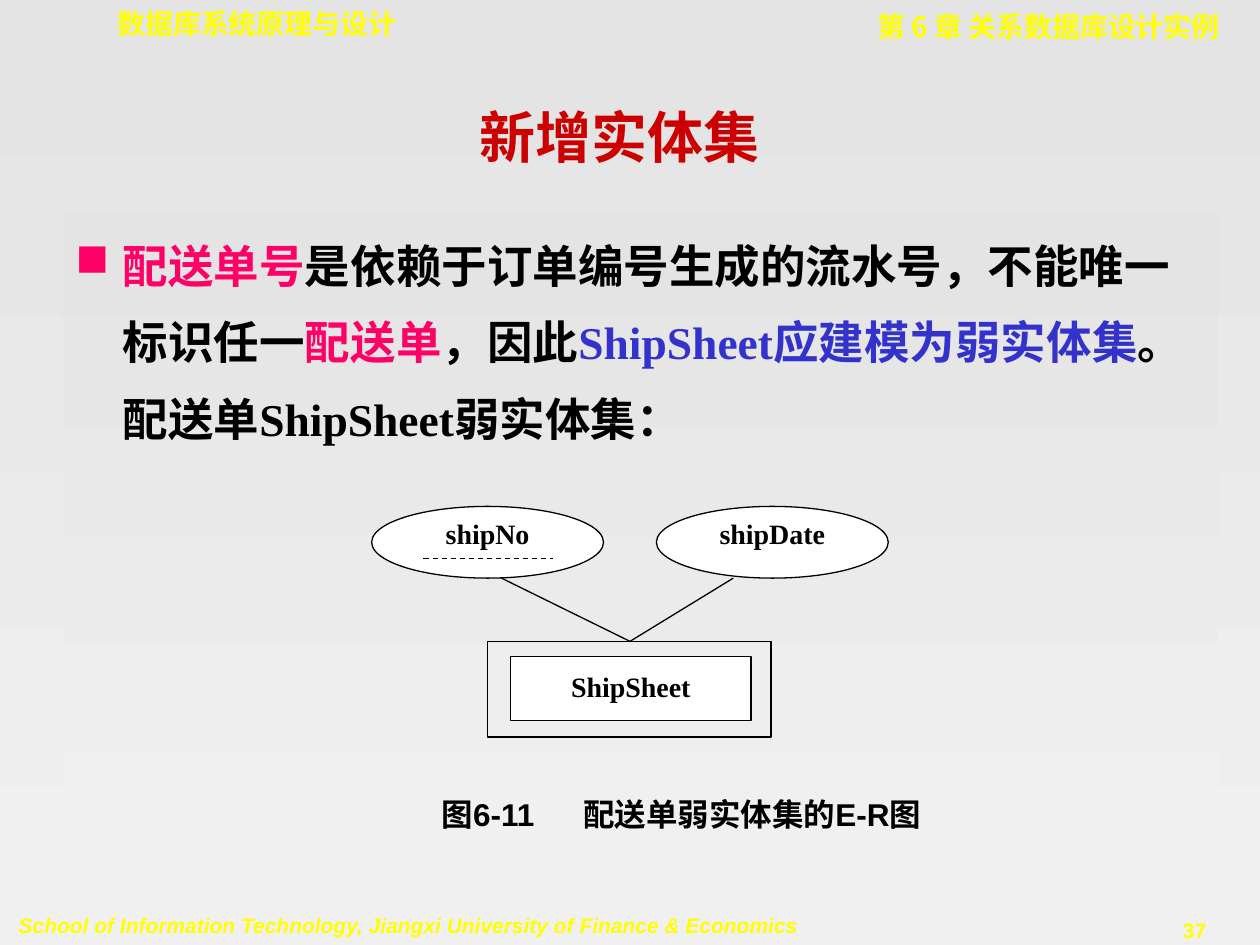
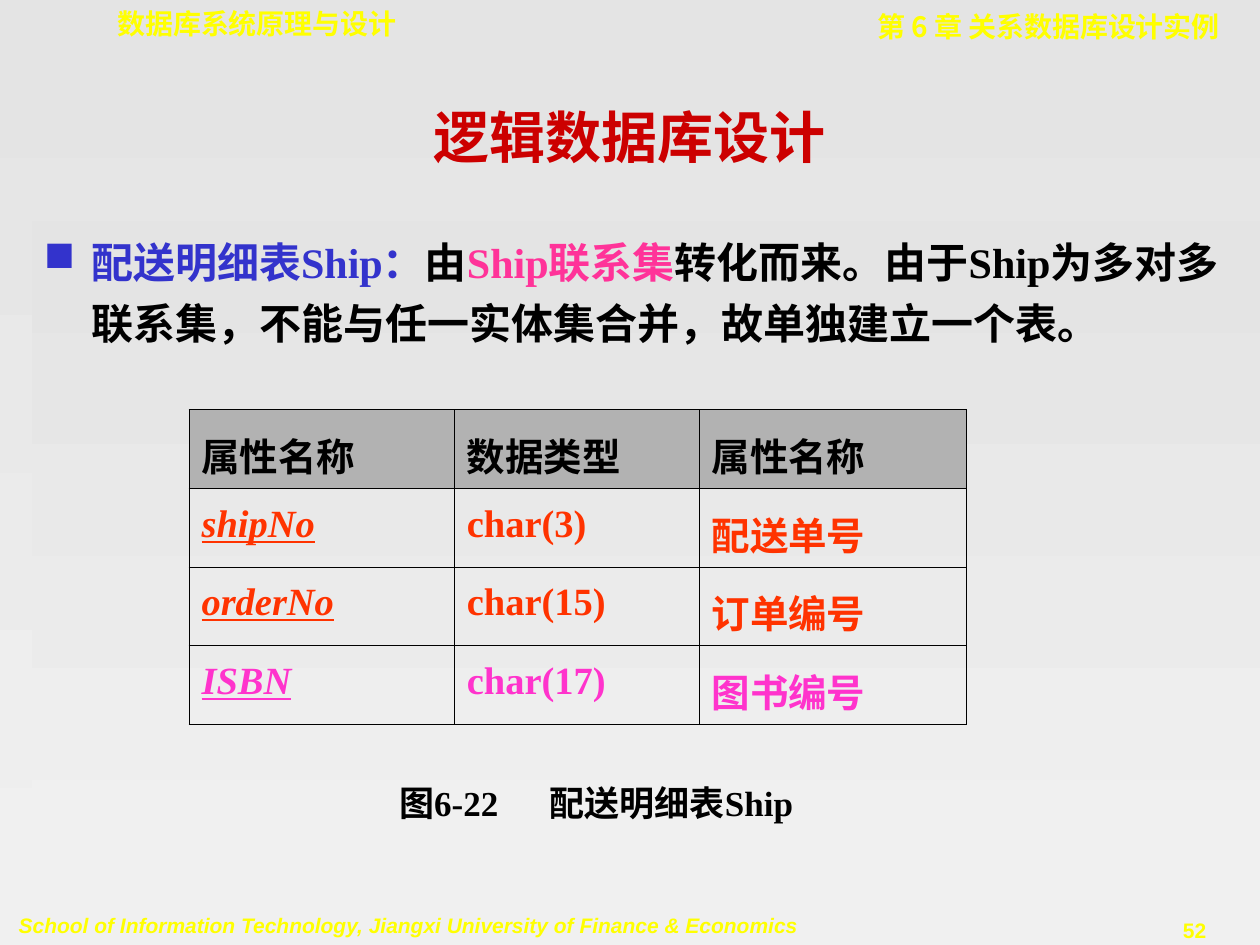
from lxml.etree import SubElement
from pptx import Presentation
from pptx.dml.color import RGBColor
from pptx.enum.dml import MSO_LINE
from pptx.enum.shapes import MSO_CONNECTOR, MSO_SHAPE
from pptx.enum.text import MSO_ANCHOR, PP_ALIGN
from pptx.oxml.ns import qn
from pptx.util import Pt

BLACK = RGBColor(0x00, 0x00, 0x00)
WHITE = RGBColor(0xFF, 0xFF, 0xFF)
YELLOW = RGBColor(0xFF, 0xFF, 0x00)
TITLE_RED = RGBColor(0xCC, 0x00, 0x00)
BLUE = RGBColor(0x33, 0x33, 0xCC)
ROSE = RGBColor(0xFF, 0x00, 0x66)
PINK = RGBColor(0xFF, 0x33, 0x99)
ORANGE = RGBColor(0xFF, 0x33, 0x00)
MAGENTA = RGBColor(0xFF, 0x33, 0xCC)
HEADER_GREY = RGBColor(0xB2, 0xB2, 0xB2)
GREY_TOP = RGBColor(0xE4, 0xE4, 0xE4)
GREY_BOTTOM = RGBColor(0xF0, 0xF0, 0xF0)

SERIF, SANS, MONO, CJK = "Times New Roman", "Arial", "DejaVu Sans Mono", "Noto Sans CJK SC"

# text, (left, top, width, height), size, font, italic, alignment
BANDS = [
    ("数据库系统原理与设计", (60, 0, 263.5, 26.6), 16, MONO, False, PP_ALIGN.LEFT),
    ("第 6 章 关系数据库设计实例", (391, 2, 313.2, 26.6), 16, CJK, False, PP_ALIGN.RIGHT),
    ("School of Information Technology, Jiangxi University of Finance & Economics",
     (3.6, 517.7, 461, 21.6), 12, SANS, True, PP_ALIGN.LEFT),
]
PAGE_NUMBER_AREA = (646.6, 520.5, 72, 21.6)

WEAK_ENTITY = {
    "number": "37", "title": "新增实体集", "title_left": 48,
    "area": (36, 120, 660, 372), "size": 26, "spacing": 1.4,
    "body": [("配送单号", ROSE), ("是依赖于订单编号生成的流水号，不能唯一标识任一", BLACK),
             ("配送单", ROSE), ("，因此", BLACK), ("ShipSheet应建模为弱实体集", BLUE),
             ("。 配送单ShipSheet弱实体集：", BLACK)],
    "caption": ("图6-11", "配送单弱实体集的E-R图"),
    "caption_area": (245.3, 450.7, 340, 28.8), "caption_tab": 81,
    "caption_size": 18, "caption_font": SANS,
}
SHIP_TABLE = {
    "number": "52", "title": "逻辑数据库设计", "title_left": 54,
    "area": (18, 126, 702, 384), "size": 24, "spacing": 1.2,
    "body": [("配送明细表Ship：", BLUE), ("由", BLACK), ("Ship联系集", PINK),
             ("转化而来。由于Ship为多对多联系集，不能与任一实体集合并，故单独建立一个表。", BLACK)],
    "caption": ("图6-22", "配送明细表Ship"),
    "caption_area": (221, 442.8, 280, 31.7), "caption_tab": 86,
    "caption_size": 20, "caption_font": SERIF,
}
TABLE_ROWS = [
    (("属性名称", "数据类型", "属性名称"), BLACK),
    (("shipNo", "char(3)", "配送单号"), ORANGE),
    (("orderNo", "char(15)", "订单编号"), ORANGE),
    (("ISBN", "char(17)", "图书编号"), MAGENTA),
]
COLUMN_WIDTHS = (151.6, 139.9, 152.6)
TABLE_LEFT, TABLE_TOP, ROW_HEIGHT = 108, 234, 45

ATTRIBUTES = [("shipNo", 212.4, 286.6), ("shipDate", 375.1, 419)]  # name, left, link start
ATTRIBUTE_TOP, ATTRIBUTE_WIDTH, ATTRIBUTE_HEIGHT = 289.4, 132.5, 41
ENTITY_FRAME = (278.6, 366.5, 162, 54.7)
ENTITY_AREA = (291.7, 375.1, 137.5, 36.7)
ENTITY_LINK_X = 360
PARTIAL_KEY_LINE = (242, 319, 316, 319)


def points(values):
    return [Pt(value) for value in values]


def format_font(para, size, font_name, color, italic=False):
    font = para.font
    font.size, font.name, font.bold, font.italic = Pt(size), font_name, True, italic
    font.color.rgb = color
    properties = para._p.get_or_add_pPr().find(qn("a:defRPr"))
    SubElement(properties, qn("a:ea"), typeface=CJK)


def shade(fill):
    """Give a fill the grey gradient, light towards the bottom."""
    fill.gradient()
    fill.gradient_angle = 270
    for stop, color in zip(fill.gradient_stops, (GREY_TOP, GREY_BOTTOM)):
        stop.color.rgb = color


def add_text(page, text, area, size, font_name, color, italic=False, align=PP_ALIGN.LEFT, tab=None):
    box = page.shapes.add_textbox(*points(area))
    box.text_frame.word_wrap = True
    para = box.text_frame.paragraphs[0]
    para.text = text
    para.alignment = align
    if tab:
        tabs = SubElement(para._p.get_or_add_pPr(), qn("a:tabLst"))
        SubElement(tabs, qn("a:tab"), pos=str(Pt(tab)), algn="l")
    format_font(para, size, font_name, color, italic)


def add_body(page, content):
    box = page.shapes.add_textbox(*points(content["area"]))
    shade(box.fill)
    box.text_frame.word_wrap = True
    para = box.text_frame.paragraphs[0]
    para.line_spacing = content["spacing"]
    properties = para._p.get_or_add_pPr()
    properties.set("marL", str(Pt(27)))
    properties.set("indent", str(Pt(-27)))
    bullet_color = SubElement(properties, qn("a:buClr"))
    SubElement(bullet_color, qn("a:srgbClr"), val=str(content["body"][0][1]))
    SubElement(properties, qn("a:buChar"), char="■")
    format_font(para, content["size"], SERIF, BLACK)
    for text, color in content["body"]:
        span = para.add_run()
        span.text = text
        span.font.color.rgb = color


def add_page(deck, content):
    page = deck.slides.add_slide(deck.slide_layouts[5])
    add_body(page, content)
    for text, area, size, font_name, italic, align in BANDS:
        add_text(page, text, area, size, font_name, YELLOW, italic, align)
    add_text(page, content["number"], PAGE_NUMBER_AREA, 12, SANS, YELLOW, align=PP_ALIGN.CENTER)
    title = page.shapes.title
    title.left, title.top, title.width, title.height = points((content["title_left"], 54, 612, 48))
    title.text = content["title"]
    title.text_frame.vertical_anchor = MSO_ANCHOR.MIDDLE
    title.text_frame.paragraphs[0].alignment = PP_ALIGN.CENTER
    format_font(title.text_frame.paragraphs[0], 32, SERIF, TITLE_RED)
    add_text(page, "\t".join(content["caption"]), content["caption_area"], content["caption_size"],
             content["caption_font"], BLACK, tab=content["caption_tab"])
    return page


def add_node(page, kind, area, text=None, spacing=1.0):
    """Outline a diagram node; only a node with text is filled."""
    node = page.shapes.add_shape(kind, *points(area))
    node.shadow.inherit = False
    node.line.color.rgb = BLACK
    node.line.width = Pt(0.75)
    if text is None:
        node.fill.background()
        return
    node.fill.solid()
    node.fill.fore_color.rgb = WHITE
    frame = node.text_frame
    frame.margin_left = frame.margin_right = frame.margin_top = frame.margin_bottom = 0
    frame.vertical_anchor = MSO_ANCHOR.TOP
    para = frame.paragraphs[0]
    para.text = text
    para.alignment = PP_ALIGN.CENTER
    para.line_spacing = spacing
    format_font(para, 16, SERIF, BLACK)


def add_line(page, ends, dashed=False):
    line = page.shapes.add_connector(MSO_CONNECTOR.STRAIGHT, *points(ends))
    line.line.color.rgb = BLACK
    line.line.width = Pt(0.75)
    if dashed:
        line.line.dash_style = MSO_LINE.DASH
    SubElement(line._element.spPr, qn("a:effectLst"))


def add_diagram(page):
    add_node(page, MSO_SHAPE.RECTANGLE, ENTITY_FRAME)
    add_node(page, MSO_SHAPE.RECTANGLE, ENTITY_AREA, "ShipSheet", 1.4)
    for name, left, link_x in ATTRIBUTES:
        add_node(page, MSO_SHAPE.OVAL, (left, ATTRIBUTE_TOP, ATTRIBUTE_WIDTH, ATTRIBUTE_HEIGHT), name)
        add_line(page, (link_x, ATTRIBUTE_TOP + ATTRIBUTE_HEIGHT, ENTITY_LINK_X, ENTITY_FRAME[1]))
    add_line(page, PARTIAL_KEY_LINE, dashed=True)


def add_borders(cell):
    properties = cell._tc.get_or_add_tcPr()
    for position, side in enumerate(("lnL", "lnR", "lnT", "lnB")):
        border = properties.makeelement(qn(f"a:{side}"), {"w": str(Pt(0.45))})
        properties.insert(position, border)
        fill = SubElement(border, qn("a:solidFill"))
        SubElement(fill, qn("a:srgbClr"), val=str(BLACK))


def add_attribute_table(page):
    area = (TABLE_LEFT, TABLE_TOP, sum(COLUMN_WIDTHS), ROW_HEIGHT * len(TABLE_ROWS))
    table = page.shapes.add_table(len(TABLE_ROWS), len(COLUMN_WIDTHS), *points(area)).table
    table.first_row = table.horz_banding = False
    for column, width in zip(table.columns, COLUMN_WIDTHS):
        column.width = Pt(width)
    for row, (texts, color) in enumerate(TABLE_ROWS):
        for column, text in enumerate(texts):
            cell = table.cell(row, column)
            if row == 0:
                cell.fill.solid()
                cell.fill.fore_color.rgb = HEADER_GREY
            else:
                cell.fill.background()
            add_borders(cell)
            para = cell.text_frame.paragraphs[0]
            para.text = text
            para.line_spacing = 1.2
            is_key = row > 0 and column == 0
            format_font(para, 22, SERIF, color, italic=is_key)
            para.font.underline = is_key


def main():
    deck = Presentation()
    deck.slide_width, deck.slide_height = points((720, 540))
    shade(deck.slide_master.background.fill)
    add_diagram(add_page(deck, WEAK_ENTITY))
    add_attribute_table(add_page(deck, SHIP_TABLE))
    deck.save("out.pptx")


if __name__ == "__main__":
    main()
